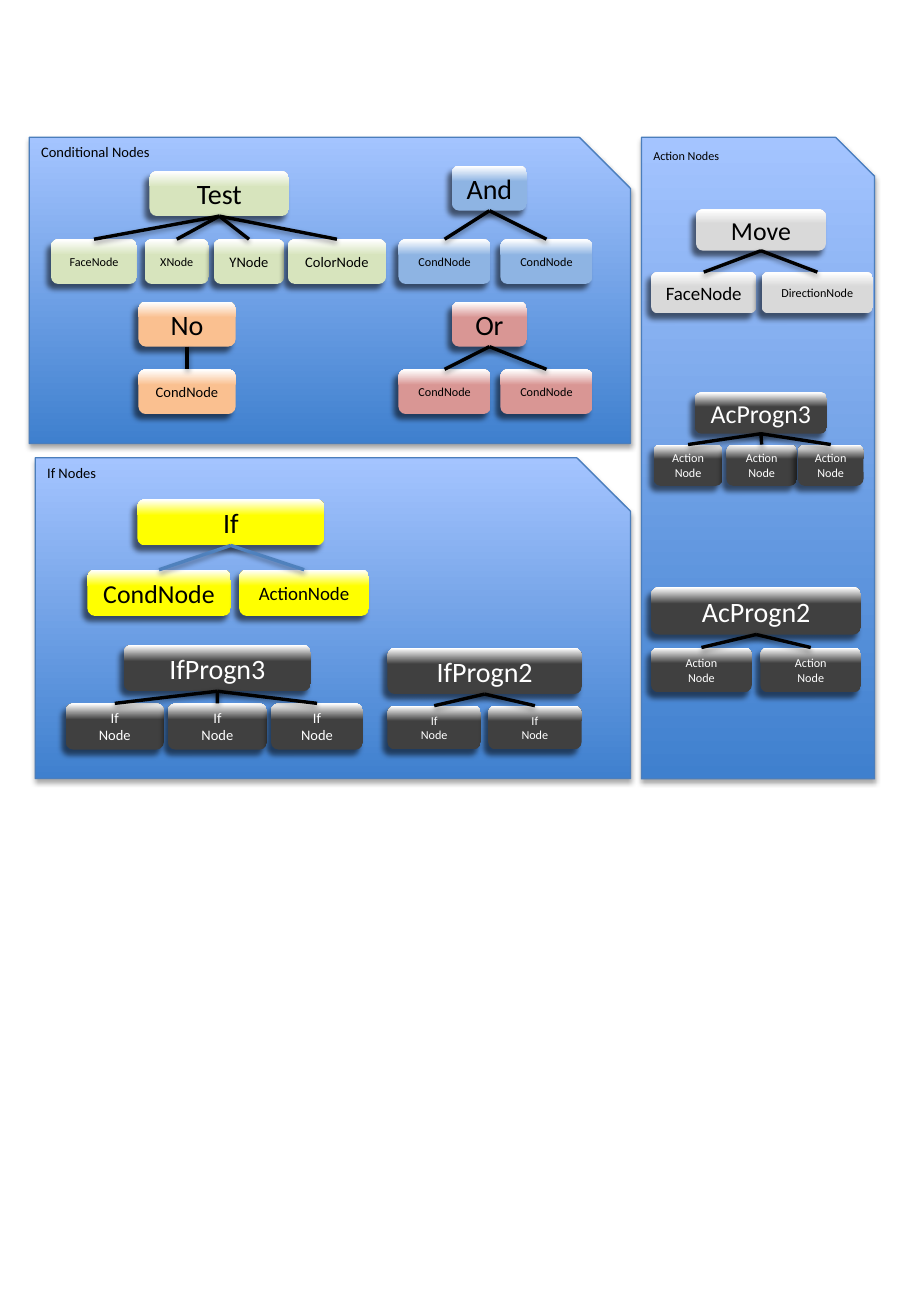
"""Draw the node grammar as small trees on three panels."""
from lxml.etree import SubElement
from pptx import Presentation
from pptx.dml.color import RGBColor
from pptx.enum.shapes import MSO_CONNECTOR, MSO_SHAPE
from pptx.enum.text import MSO_ANCHOR, PP_ALIGN
from pptx.oxml.ns import qn
from pptx.util import Pt

BLACK = RGBColor(0x00, 0x00, 0x00)
WHITE = RGBColor(0xFF, 0xFF, 0xFF)
PANEL_DARK = RGBColor(0x3F, 0x80, 0xCE)
PANEL_LIGHT = RGBColor(0xA4, 0xC4, 0xFF)
PANEL_EDGE = RGBColor(0x4B, 0x7E, 0xBC)
GREEN = RGBColor(0xD7, 0xE4, 0xBD)
BLUE = RGBColor(0x8E, 0xB4, 0xE3)
RED = RGBColor(0xD9, 0x96, 0x94)
ORANGE = RGBColor(0xFA, 0xC0, 0x90)
GREY = RGBColor(0xD9, 0xD9, 0xD9)
CHARCOAL = RGBColor(0x40, 0x40, 0x40)
YELLOW = RGBColor(0xFF, 0xFF, 0x00)
LINK_BLUE = RGBColor(0x4F, 0x81, 0xBD)


def add_shadow(shape, opacity, blur, distance, direction):
    effects = SubElement(shape._element.spPr, qn("a:effectLst"))
    shadow = SubElement(effects, qn("a:outerShdw"), blurRad=str(Pt(blur)), dist=str(Pt(distance)),
                        dir=str(direction * 60000), algn="ctr", rotWithShape="0")
    color = SubElement(shadow, qn("a:srgbClr"), val="000000")
    SubElement(color, qn("a:alpha"), val=str(opacity * 1000))


def add_gradient_shape(kind, box, stops):
    shape = slide.shapes.add_shape(kind, *map(Pt, box))
    shape.fill.gradient()
    shape.fill.gradient_angle = 90
    for stop, (position, color) in zip(shape.fill.gradient_stops, stops):
        stop.position = position
        stop.color.rgb = color
    return shape


presentation = Presentation()
presentation.slide_width = Pt(540)
presentation.slide_height = Pt(780)
slide = presentation.slides.add_slide(presentation.slide_layouts[6])

panels = [
    ("Conditional Nodes", 8.6, 81.4, (17.3, 81.4, 356.4, 181.4)),
    ("Action Nodes", 7.2, 84.2, (380.2, 81.4, 138.2, 380.2)),
    ("If Nodes", 8.6, 271.4, (20.9, 271.4, 352.8, 190.1)),
]
for title, size, title_top, box in panels:
    panel = add_gradient_shape(MSO_SHAPE.SNIP_1_RECTANGLE, box, [(0, PANEL_DARK), (1, PANEL_LIGHT)])
    panel.line.color.rgb = PANEL_EDGE
    panel.line.width = Pt(0.75)
    add_shadow(panel, 35, 3.1, 1.8, 90)
    title_box = slide.shapes.add_textbox(Pt(box[0]), Pt(title_top), Pt(116), Pt(16.6))
    title_box.text_frame.word_wrap = True
    paragraph = title_box.text_frame.paragraphs[0]
    paragraph.text = title
    paragraph.font.name = "Calibri"
    paragraph.font.size = Pt(size)
    paragraph.font.color.rgb = BLACK

# fill, text colour, link colour, root (label, size, left, top, width, height),
# then child top, child height and children (label, size, left, width)
trees = [
    (GREEN, BLACK, BLACK, ("Test", 16.6, 88.6, 101.5, 82.8, 26.6), 141.8, 26.6,
     [("FaceNode", 7.2, 30.2, 51.1), ("XNode", 7.2, 85.7, 38.2),
      ("YNode", 8.6, 126.7, 41.8), ("ColorNode", 8.6, 170.6, 58.3)]),
    (BLUE, BLACK, BLACK, ("And", 16.6, 267.8, 98.3, 44.6, 26.6), 141.8, 26.6,
     [("CondNode", 7.2, left, 54.7) for left in (236.2, 296.6)]),
    (RED, BLACK, BLACK, ("Or", 16.6, 267.8, 178.9, 44.6, 26.6), 218.9, 26.6,
     [("CondNode", 7.2, left, 54.7) for left in (236.2, 296.6)]),
    (ORANGE, BLACK, BLACK, ("No", 16.6, 82.1, 178.9, 57.6, 26.6), 218.9, 26.6,
     [("CondNode", 8.6, 82.1, 57.6)]),
    (GREY, BLACK, BLACK, ("Move", 15.3, 412.6, 124.1, 77, 24.5), 161.3, 24.5,
     [("FaceNode", 11.2, 385.9, 62.6), ("DirectionNode", 7.2, 451.4, 66.2)]),
    (CHARCOAL, WHITE, BLACK, ("AcProgn3", 15.3, 411.8, 232.6, 78.5, 24.5), 263.5, 24.5,
     [("Action\nNode", 7.2, left, width) for left, width in ((387.4, 41), (430.6, 41.8), (473, 38.9))]),
    (CHARCOAL, WHITE, BLACK, ("AcProgn2", 16.6, 385.9, 348, 124.6, 28.1), 383.8, 26.6,
     [("Action\nNode", 7.2, left, 59.8) for left in (385.9, 450.7)]),
    (YELLOW, BLACK, LINK_BLUE, ("If", 16.6, 81.4, 295.9, 110.9, 27.4), 337.7, 27.4,
     [("CondNode", 15.3, 51.8, 85), ("ActionNode", 11.2, 141.8, 77)]),
    (CHARCOAL, WHITE, BLACK, ("IfProgn3", 16.6, 73.4, 382.3, 110.9, 27.4), 416.9, 27.4,
     [("If\nNode", 8.6, left, width) for left, width in ((38.9, 58.3), (99.4, 59), (160.6, 54.7))]),
    (CHARCOAL, WHITE, BLACK, ("IfProgn2", 16.6, 229.7, 384, 115.2, 27.4), 418.3, 25.9,
     [("If\nNode", 7.2, left, 55.4) for left in (229.7, 289.4)]),
]
for fill, text_color, link_color, root, child_top, child_height, children in trees:
    nodes = [root] + [(label, size, left, child_top, width, child_height)
                      for label, size, left, width in children]
    for label, size, *box in nodes:
        node = add_gradient_shape(MSO_SHAPE.ROUNDED_RECTANGLE, box, [(0.65, fill), (0.99, WHITE)])
        node.line.fill.background()
        add_shadow(node, 54, 3.2, 4, 128)
        node.text_frame.text = label
        node.text_frame.vertical_anchor = MSO_ANCHOR.MIDDLE
        for paragraph in node.text_frame.paragraphs:
            paragraph.alignment = PP_ALIGN.CENTER
            paragraph.font.name = "Calibri"
            paragraph.font.size = Pt(size)
            paragraph.font.color.rgb = text_color

    root_left, root_top, root_width, root_height = root[2:]
    for label, size, left, width in children:
        link = slide.shapes.add_connector(
            MSO_CONNECTOR.STRAIGHT, Pt(root_left + root_width / 2), Pt(root_top + root_height),
            Pt(left + width / 2), Pt(child_top))
        link.line.color.rgb = link_color
        link.line.width = Pt(2)
        add_shadow(link, 38, 3.1, 1.6, 90)

presentation.save("out.pptx")
